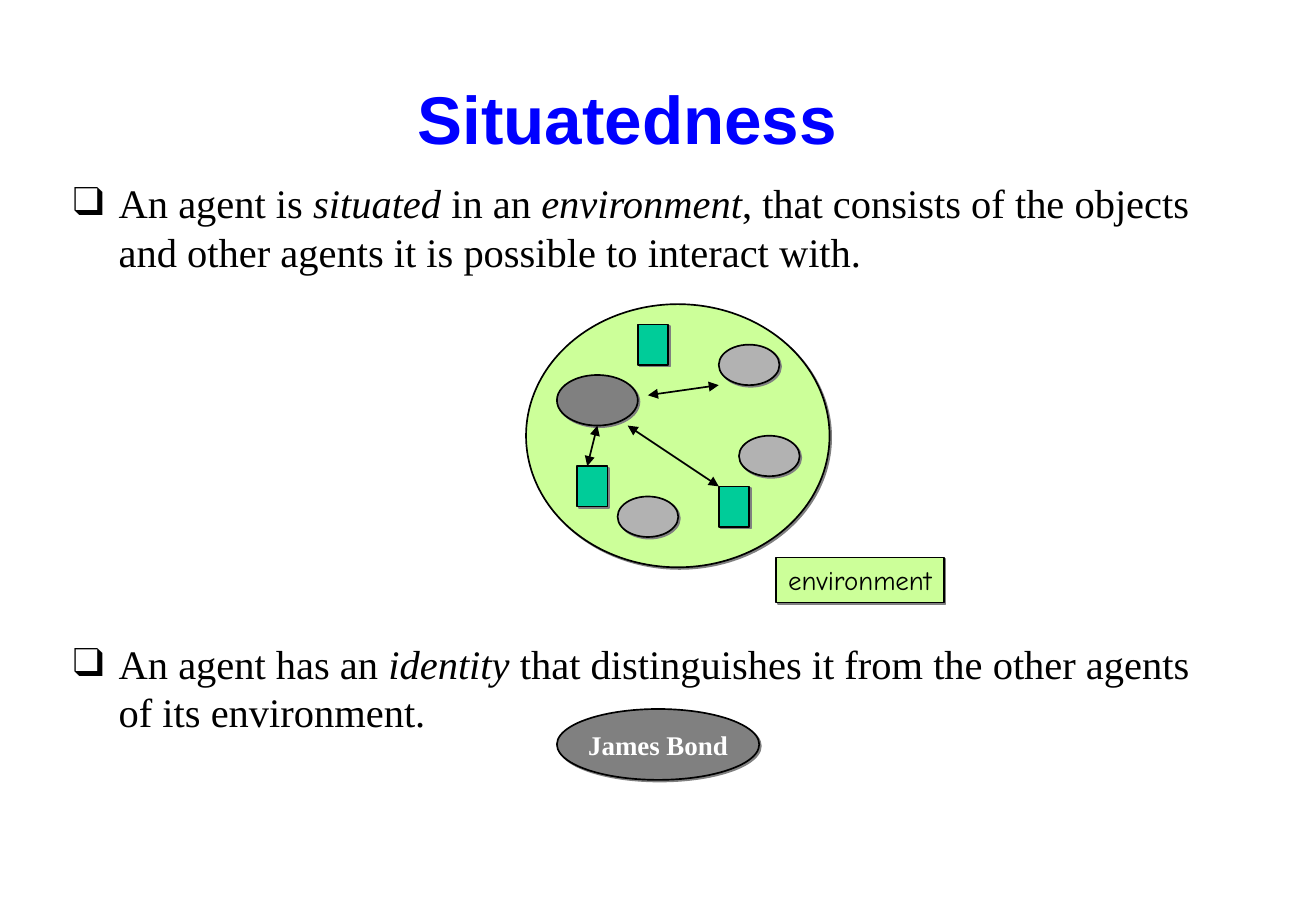
from lxml import etree
from pptx import Presentation
from pptx.dml.color import RGBColor
from pptx.enum.shapes import MSO_CONNECTOR, MSO_SHAPE
from pptx.enum.text import MSO_ANCHOR, PP_ALIGN
from pptx.oxml.ns import qn
from pptx.util import Pt

OVAL, RECTANGLE = MSO_SHAPE.OVAL, MSO_SHAPE.RECTANGLE
STRAIGHT = MSO_CONNECTOR.STRAIGHT
MIDDLE, TOP = MSO_ANCHOR.MIDDLE, MSO_ANCHOR.TOP
CENTER, LEFT = PP_ALIGN.CENTER, PP_ALIGN.LEFT

BLACK = RGBColor(0x00, 0x00, 0x00)
WHITE = RGBColor(0xFF, 0xFF, 0xFF)
TITLE_BLUE = RGBColor(0x00, 0x00, 0xFF)
ENVIRONMENT_GREEN = RGBColor(0xCC, 0xFF, 0x99)
OBJECT_GREEN = RGBColor(0x00, 0xCC, 0x99)
AGENT_GRAY = RGBColor(0x80, 0x80, 0x80)
OTHER_AGENT_GRAY = RGBColor(0xB2, 0xB2, 0xB2)

SERIF = "Times New Roman"
BULLET_INDENT = Pt(27)

OTHER_AGENTS = [(366.3, 294.3), (426.3, 204.3), (438.3, 258.3)]
OBJECTS = [(342.3, 276.3), (378.3, 192.3), (426.3, 288.3)]
INTERACTIONS = [
    (372.3, 252.3, 426.3, 288.3),
    (384.3, 234.3, 426.3, 228.3),
    (354.3, 252.3, 348.3, 276.3),
]


def add_run(paragraph, text, font_name, size, color, bold=False, italic=False):
    run = paragraph.add_run()
    run.text = text
    font = run.font
    font.name, font.size = font_name, Pt(size)
    font.bold, font.italic = bold, italic
    font.color.rgb = color


def add_text_box(slide, left, top, width, height, anchor=TOP):
    """Add a wrapping text box and return its first paragraph."""
    box = slide.shapes.add_textbox(Pt(left), Pt(top), Pt(width), Pt(height))
    box.text_frame.word_wrap = True
    box.text_frame.vertical_anchor = anchor
    return box.text_frame.paragraphs[0]


def add_bullet(slide, top, parts):
    """Add a bulleted statement; parts are (text, italic) pairs."""
    paragraph = add_text_box(slide, 36.3, top, 700, 66)
    paragraph.alignment = LEFT
    properties = paragraph._p.get_or_add_pPr()
    properties.set("marL", str(BULLET_INDENT))
    properties.set("indent", str(-BULLET_INDENT))
    color = etree.SubElement(properties, qn("a:buClr"))
    etree.SubElement(color, qn("a:srgbClr"), val=str(BLACK))
    etree.SubElement(properties, qn("a:buFont"), typeface=SERIF)
    etree.SubElement(properties, qn("a:buChar")).set("char", "❑")
    for text, italic in parts:
        add_run(paragraph, text, SERIF, 24, BLACK, italic=italic)


def add_shadow(shape):
    shape.shadow.inherit = False
    effects = shape._element.spPr.find(qn("a:effectLst"))
    shadow = etree.SubElement(effects, qn("a:outerShdw"), dist=str(Pt(1.4)),
                              dir="2700000", algn="ctr", rotWithShape="0")
    etree.SubElement(shadow, qn("a:srgbClr"), val=str(AGENT_GRAY))


def add_figure(slide, kind, left, top, width, height, fill):
    shape = slide.shapes.add_shape(kind, Pt(left), Pt(top), Pt(width), Pt(height))
    shape.fill.solid()
    shape.fill.fore_color.rgb = fill
    shape.line.color.rgb = BLACK
    shape.line.width = Pt(1)
    add_shadow(shape)
    return shape


def add_label(shape, text, font_name, color, bold=False):
    frame = shape.text_frame
    frame.word_wrap = False
    frame.vertical_anchor = MIDDLE
    paragraph = frame.paragraphs[0]
    paragraph.alignment = CENTER
    add_run(paragraph, text, font_name, 16, color, bold=bold)


def add_interaction(slide, *ends):
    """Draw a line with an arrowhead at both ends."""
    connector = slide.shapes.add_connector(STRAIGHT, *map(Pt, ends))
    connector.line.color.rgb = BLACK
    connector.line.width = Pt(1)
    line = connector.line._get_or_add_ln()
    for end in ("a:headEnd", "a:tailEnd"):
        etree.SubElement(line, qn(end), type="triangle")
    etree.SubElement(connector._element.spPr, qn("a:effectLst"))


def add_environment(slide):
    add_figure(slide, OVAL, 312, 180.3, 180, 156, ENVIRONMENT_GREEN)
    add_figure(slide, OVAL, 330.3, 222.3, 48, 30, AGENT_GRAY)
    for left, top in OTHER_AGENTS:
        add_figure(slide, OVAL, left, top, 36, 24, OTHER_AGENT_GRAY)
    for left, top in OBJECTS:
        add_figure(slide, RECTANGLE, left, top, 18, 24, OBJECT_GREEN)
    for ends in INTERACTIONS:
        add_interaction(slide, *ends)
    caption = add_figure(slide, RECTANGLE, 460.3, 330.4, 99.5, 26.8, ENVIRONMENT_GREEN)
    add_label(caption, "environment", "Comic Neue", BLACK)


def main():
    presentation = Presentation()
    presentation.slide_width = Pt(780.48)
    presentation.slide_height = Pt(540)
    slide = presentation.slides.add_slide(presentation.slide_layouts[6])

    title = add_text_box(slide, 114, 39.6, 516, 60, MIDDLE)
    title.alignment = CENTER
    add_run(title, "Situatedness", "Arial", 40, TITLE_BLUE, bold=True)

    add_bullet(slide, 102, [
        ("An agent is ", False),
        ("situated", True),
        (" in an ", False),
        ("environment", True),
        (", that consists of the objects and other agents "
         "it is possible to interact with.", False),
    ])
    add_environment(slide)
    add_bullet(slide, 375, [
        ("An agent has an ", False),
        ("identity ", True),
        ("that distinguishes it from the other agents of its environment.", False),
    ])
    identity = add_figure(slide, OVAL, 330.3, 420.3, 120, 42, AGENT_GRAY)
    add_label(identity, "James Bond", SERIF, WHITE, bold=True)

    presentation.save("out.pptx")


if __name__ == "__main__":
    main()
